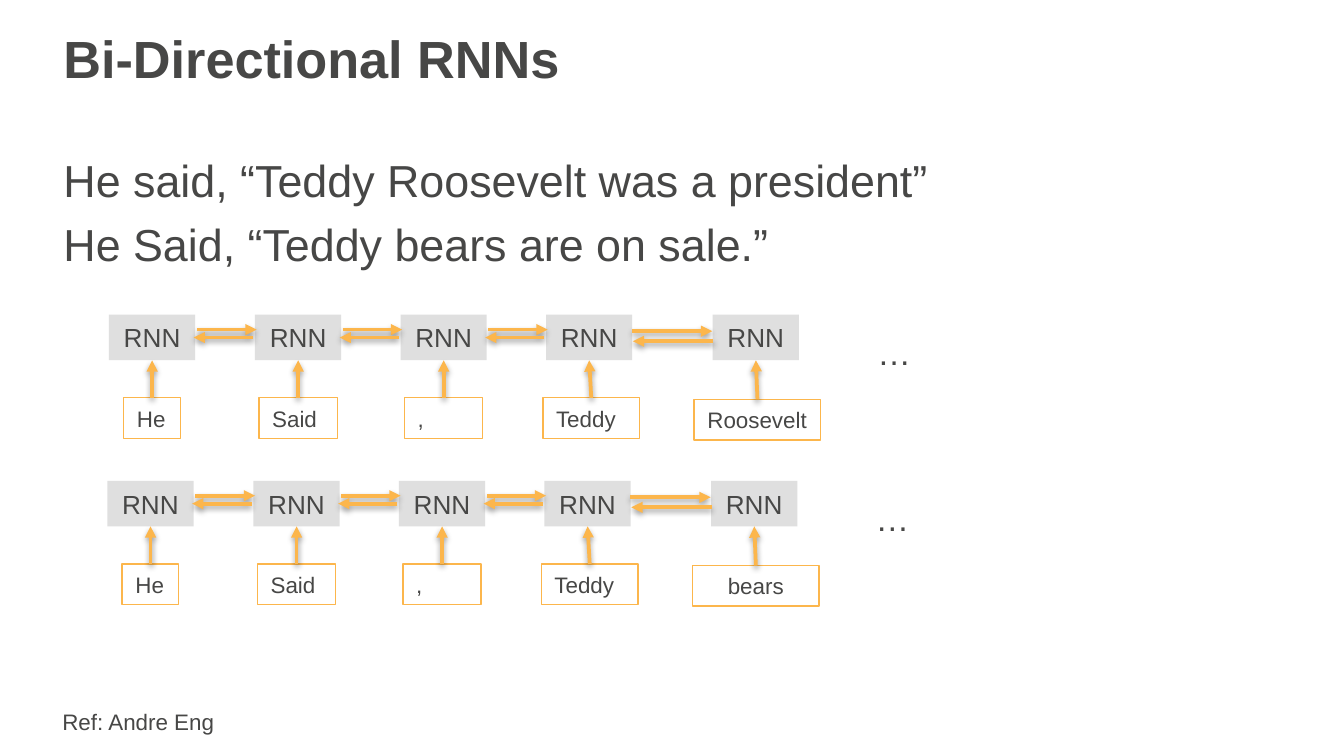
from dataclasses import dataclass

from lxml import etree
from pptx import Presentation
from pptx.dml.color import RGBColor
from pptx.enum.shapes import MSO_CONNECTOR, MSO_SHAPE
from pptx.enum.text import MSO_ANCHOR, PP_ALIGN
from pptx.oxml.ns import qn
from pptx.util import Cm, Pt

LEFT, CENTER = PP_ALIGN.LEFT, PP_ALIGN.CENTER
TOP, MIDDLE, BOTTOM = MSO_ANCHOR.TOP, MSO_ANCHOR.MIDDLE, MSO_ANCHOR.BOTTOM
RECTANGLE, STRAIGHT = MSO_SHAPE.RECTANGLE, MSO_CONNECTOR.STRAIGHT

COLORS = {"text": "474746", "cell": "DFDFDF", "accent": "FCB64C", "shadow": "000000"}
FONT = "Arial"
CELL_WIDTH, CELL_HEIGHT = 1.63, 0.86
WORD_HEIGHT = 0.77


@dataclass(frozen=True)
class Step:
    left: float
    word_width: float
    word_nudge: float = 0
    word_drop: float = 1.57


@dataclass(frozen=True)
class Link:
    forward_drop: float = 0.28
    backward_drop: float = 0.43
    shift: float = 0.03


@dataclass(frozen=True)
class Sequence:
    left_shift: float
    top: float
    words: tuple[str, ...]
    last_align: PP_ALIGN


STEPS = (
    Step(2.06, 1.07),
    Step(4.82, 1.48),
    Step(7.57, 1.48),
    Step(10.32, 1.83, 0.04),
    Step(13.47, 2.39, 0.03, 1.6),
)
LINKS = (Link(), Link(), Link(), Link(0.31, 0.5, -0.01))
SEQUENCES = (
    Sequence(0, 5.95, ("He", "Said", ",", "Teddy", "Roosevelt"), LEFT),
    Sequence(-0.03, 9.09, ("He", "Said", ",", "Teddy", "bears"), CENTER),
)


def color(name: str) -> RGBColor:
    return RGBColor.from_string(COLORS[name])


def write(box, lines: tuple[str, ...], size: float, align=LEFT, anchor=TOP,
          bold: bool = False, wrap: bool = True, gap: float = 0) -> None:
    frame = box.text_frame
    frame.word_wrap = wrap
    frame.vertical_anchor = anchor
    for index, line in enumerate(lines):
        para = frame.add_paragraph() if index else frame.paragraphs[0]
        para.alignment = align
        if index:
            para.space_before = Pt(gap)
        span = para.add_run()
        span.text = line
        span.font.name = FONT
        span.font.size = Pt(size)
        span.font.bold = bold
        span.font.color.rgb = color("text")


def add_text(page, left: float, top: float, width: float, height: float):
    return page.shapes.add_textbox(Cm(left), Cm(top), Cm(width), Cm(height))


def add_box(page, left: float, top: float, width: float, height: float):
    box = page.shapes.add_shape(RECTANGLE, Cm(left), Cm(top), Cm(width), Cm(height))
    box.shadow.inherit = False
    return box


def add_cell(page, left: float, top: float) -> None:
    box = add_box(page, left, top, CELL_WIDTH, CELL_HEIGHT)
    box.fill.solid()
    box.fill.fore_color.rgb = color("cell")
    box.line.fill.background()
    write(box, ("RNN",), 14, CENTER, MIDDLE)


def add_word(page, word: str, left: float, top: float, width: float, align) -> None:
    box = add_box(page, left, top, width, WORD_HEIGHT)
    box.fill.background()
    box.line.color.rgb = color("accent")
    box.line.width = Pt(0.75)
    write(box, (word,), 12, align, MIDDLE, wrap=len(word) > 2 or word == ",")


def add_arrow(page, x1: float, y1: float, x2: float, y2: float) -> None:
    arrow = page.shapes.add_connector(STRAIGHT, Cm(x1), Cm(y1), Cm(x2), Cm(y2))
    arrow.line.color.rgb = color("accent")
    arrow.line.width = Pt(2)
    properties = arrow._element.spPr
    etree.SubElement(properties.find(qn("a:ln")), qn("a:tailEnd"), type="triangle")
    effects = etree.SubElement(properties, qn("a:effectLst"))
    shadow = etree.SubElement(effects, qn("a:outerShdw"), blurRad="40000",
                              dist="20000", dir="5400000", rotWithShape="0")
    shade = etree.SubElement(shadow, qn("a:srgbClr"), val=COLORS["shadow"])
    etree.SubElement(shade, qn("a:alpha"), val="38000")


def draw_sequence(page, sequence: Sequence) -> None:
    top = sequence.top
    for step, word in zip(STEPS, sequence.words):
        left = step.left + sequence.left_shift
        center = left + CELL_WIDTH / 2
        word_center = center + step.word_nudge
        word_top = top + step.word_drop
        align = sequence.last_align if step is STEPS[-1] else LEFT
        add_cell(page, left, top)
        add_word(page, word, word_center - step.word_width / 2, word_top,
                 step.word_width, align)
        add_arrow(page, word_center, word_top, center, top + CELL_HEIGHT)
    for link, step, following in zip(LINKS, STEPS, STEPS[1:]):
        start = step.left + CELL_WIDTH + sequence.left_shift
        end = following.left + sequence.left_shift
        forward, backward = top + link.forward_drop, top + link.backward_drop
        add_arrow(page, start + link.shift, forward, end + link.shift, forward)
        add_arrow(page, end - link.shift, backward, start - link.shift, backward)
    ellipsis = add_text(page, 16.33 + sequence.left_shift, top + 0.2, 1.14, 1.02)
    write(ellipsis, ("…",), 18, wrap=False)


def main() -> None:
    deck = Presentation()
    deck.slide_width, deck.slide_height = Cm(25.4), Cm(14.29)
    page = deck.slides.add_slide(deck.slide_layouts[6])
    write(add_text(page, 0.95, 0.33, 22.78, 1.52), ("Bi-Directional RNNs",), 28,
          anchor=MIDDLE, bold=True)
    write(add_text(page, 0.95, 2.8, 22.78, 2.44),
          ("He said, “Teddy Roosevelt was a president”",
           "He Said, “Teddy bears are on sale.”"), 24, anchor=BOTTOM, gap=5.5)
    write(add_text(page, 0.93, 13.26, 3.4, 0.77), ("Ref: Andre Eng",), 12, wrap=False)
    for sequence in SEQUENCES:
        draw_sequence(page, sequence)
    deck.save("out.pptx")


if __name__ == "__main__":
    main()
